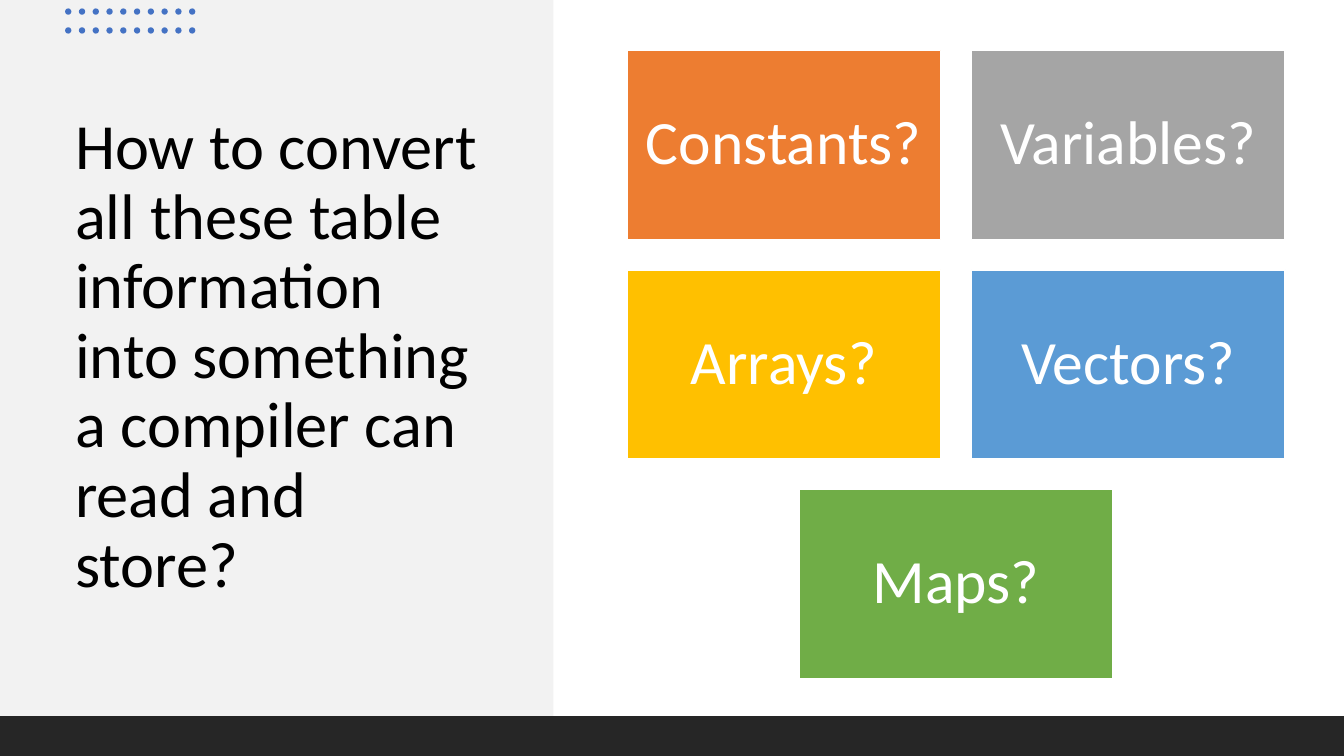
from itertools import product

from pptx import Presentation
from pptx.dml.color import RGBColor
from pptx.enum.shapes import MSO_SHAPE
from pptx.enum.text import MSO_ANCHOR, MSO_AUTO_SIZE, PP_ALIGN
from pptx.util import Pt

PX = 9525
WIDE, HIGH = 1280, 720

BLACK = RGBColor(0x00, 0x00, 0x00)
WHITE = RGBColor(0xFF, 0xFF, 0xFF)
PALE = RGBColor(0xF2, 0xF2, 0xF2)
DARK = RGBColor(0x26, 0x26, 0x26)
BLUE = RGBColor(0x44, 0x72, 0xC4)
ORANGE = RGBColor(0xED, 0x7D, 0x31)
GRAY = RGBColor(0xA5, 0xA5, 0xA5)
GOLD = RGBColor(0xFF, 0xC0, 0x00)
SKY = RGBColor(0x5B, 0x9B, 0xD5)
GREEN = RGBColor(0x70, 0xAD, 0x47)

TITLE = ("How to convert all these table information into something "
         "a compiler can read and store?")
# Label, fill, column and row; the last card sits midway between the columns.
CARDS = [
    ("Constants?", ORANGE, 0, 0),
    ("Variables?", GRAY, 1, 0),
    ("Arrays?", GOLD, 0, 1),
    ("Vectors?", SKY, 1, 1),
    ("Maps?", GREEN, 0.5, 2),
]


def scale(*sizes):
    return [round(size * PX) for size in sizes]


def add_box(shapes, box, fill, kind=MSO_SHAPE.RECTANGLE, line=None):
    shape = shapes.add_shape(kind, *scale(*box))
    shape.shadow.inherit = False
    shape.fill.solid()
    shape.fill.fore_color.rgb = fill
    if line is None:
        shape.line.fill.background()
    else:
        shape.line.color.rgb = line
        shape.line.width = Pt(1)
    return shape


def set_text(shape, text, size, color, align=PP_ALIGN.LEFT, inset=None):
    frame = shape.text_frame
    frame.text = text
    frame.word_wrap = True
    frame.auto_size = MSO_AUTO_SIZE.NONE
    frame.vertical_anchor = MSO_ANCHOR.MIDDLE
    if inset is not None:
        frame.margin_left = frame.margin_right = inset * PX
        frame.margin_top = frame.margin_bottom = inset * PX
    para = frame.paragraphs[0]
    para.alignment = align
    para.line_spacing = 0.9
    para.font.name = "Calibri"
    para.font.size = Pt(size)
    para.font.color.rgb = color


def add_title(slide):
    title = slide.shapes.title
    title.left, title.top, title.width, title.height = scale(62, 127, 407, 427)
    set_text(title, TITLE, 46, BLACK)
    panel = add_box(slide.shapes, (0, 0, 527, 682), PALE)
    title._element.addprevious(panel._element)


def add_dots(slide):
    group = slide.shapes.add_group_shape()
    for row, col in product(range(2), range(10)):
        box = (62 + 118 * col / 9, 8 + 18 * row, 6, 6)
        add_box(group.shapes, box, BLUE, MSO_SHAPE.OVAL)


def add_cards(slide):
    for label, fill, col, row in CARDS:
        box = (597 + 328 * col, 48 + 209 * row, 299, 180)
        card = add_box(slide.shapes, box, fill, line=WHITE)
        set_text(card, label, 44, WHITE, PP_ALIGN.CENTER, inset=17)


def main():
    deck = Presentation()
    deck.slide_width, deck.slide_height = scale(WIDE, HIGH)
    slide = deck.slides.add_slide(deck.slide_layouts[5])
    add_title(slide)
    add_dots(slide)
    add_box(slide.shapes, (0, 682, WIDE, 38), DARK)
    add_cards(slide)
    deck.save("out.pptx")


if __name__ == "__main__":
    main()
